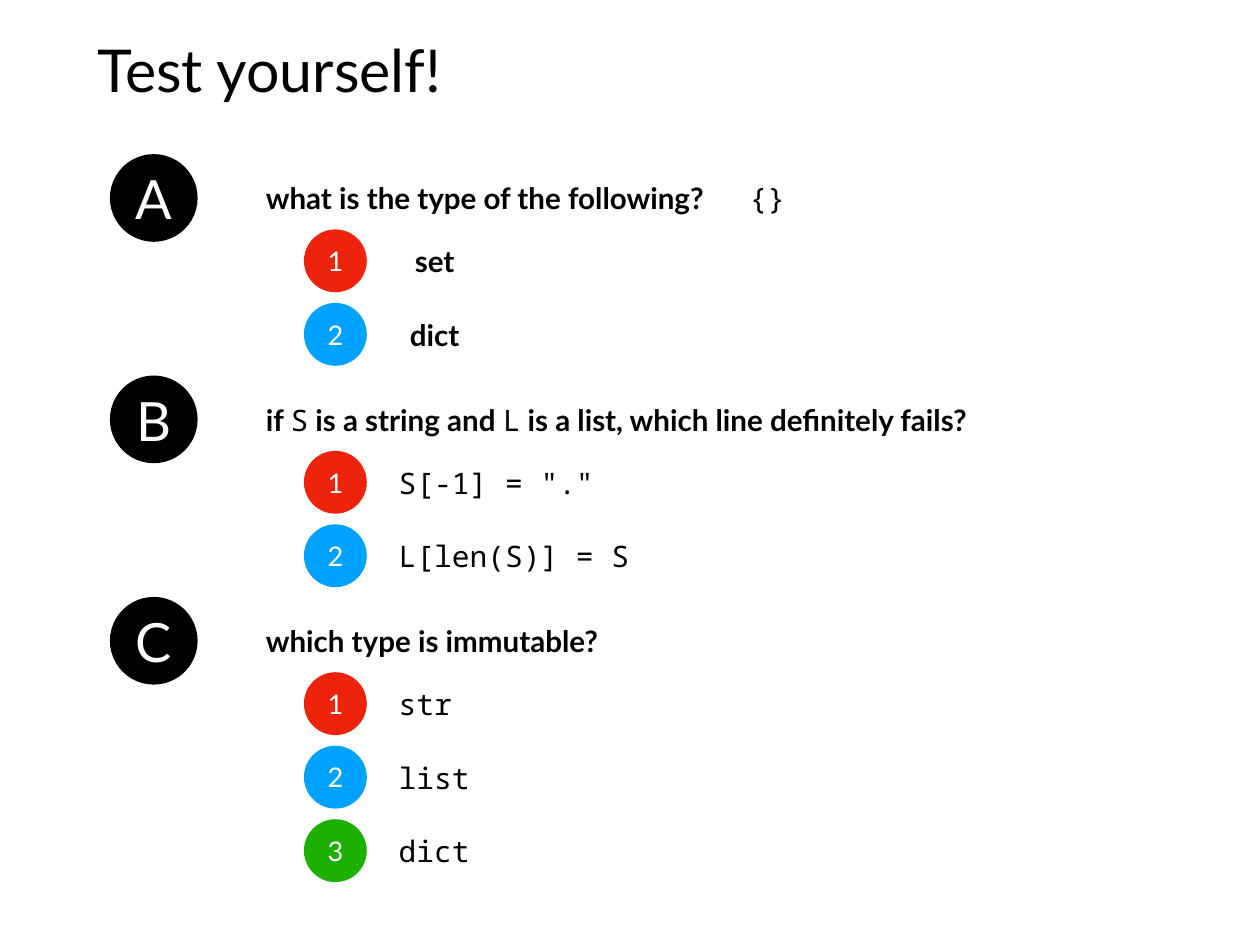
from lxml.etree import SubElement
from pptx import Presentation
from pptx.dml.color import RGBColor
from pptx.enum.shapes import MSO_SHAPE
from pptx.enum.text import MSO_ANCHOR, MSO_AUTO_SIZE, PP_ALIGN
from pptx.oxml.ns import qn
from pptx.util import Inches, Pt

BLACK = RGBColor(0x00, 0x00, 0x00)
WHITE = RGBColor(0xFF, 0xFF, 0xFF)
RED = RGBColor(0xEE, 0x23, 0x0C)
BLUE = RGBColor(0x00, 0xA2, 0xFF)
GREEN = RGBColor(0x1E, 0xB0, 0x01)
OPTION_COLOURS = (RED, BLUE, GREEN)

PROSE, CODE = "Lato", "Noto Sans Mono"
FIRST_TOP, QUESTION_STEP = 1.74, 2.5
OPTION_OFFSET, OPTION_STEP = 0.85, 0.83
CODE_TAB = 5.46

# Each question: letter, runs, box width, font of the answers, answers
QUESTIONS = [
    ("A", [("what is the type of the following?\t", PROSE), ("{}", CODE)],
     6.72, PROSE, ["set", "dict"]),
    ("B", [("if ", PROSE), ("S", CODE), (" is a string and ", PROSE), ("L", CODE),
           (" is a list, which line definitely fails?", PROSE)],
     9.18, CODE, ['S[-1] = "."', "L[len(S)] = S"]),
    ("C", [("which type is immutable?", PROSE)],
     4.39, CODE, ["str", "list", "dict"]),
]


class QuizSlide:
    """Holds the quiz style and the slide being filled."""

    def __init__(self, deck):
        """Add a slide that has only a title."""
        self.slide = deck.slides.add_slide(deck.slide_layouts[5])

    def fill_text(self, frame, runs, size, colour=BLACK, align=PP_ALIGN.LEFT, wrap=True):
        """Put (text, font, bold) runs into a text frame."""
        frame.margin_left = frame.margin_right = Inches(0.06)
        frame.margin_top = frame.margin_bottom = Inches(0.06)
        frame.vertical_anchor = MSO_ANCHOR.MIDDLE
        frame.auto_size = MSO_AUTO_SIZE.NONE
        frame.word_wrap = wrap
        paragraph = frame.paragraphs[0]
        paragraph.alignment = align
        for text, font, bold in runs:
            run = paragraph.add_run()
            run.text = text
            run.font.name = font
            run.font.size = Pt(size)
            run.font.bold = bold
            run.font.color.rgb = colour
        return paragraph

    def title(self, text):
        """Place and fill the title placeholder."""
        heading = self.slide.shapes.title
        heading.left, heading.top = Inches(1.04), Inches(0.28)
        heading.width, heading.height = Inches(12.14), Inches(0.99)
        self.fill_text(heading.text_frame, [(text, PROSE, False)], 48)

    def badge(self, label, left, top, diameter, fill, size):
        """Draw a filled circle with a white label."""
        circle = self.slide.shapes.add_shape(
            MSO_SHAPE.OVAL, Inches(left), Inches(top), Inches(diameter), Inches(diameter))
        circle.shadow.inherit = False
        circle.fill.solid()
        circle.fill.fore_color.rgb = fill
        circle.line.fill.background()
        self.fill_text(circle.text_frame, [(label, PROSE, False)], size, WHITE,
                       PP_ALIGN.CENTER, wrap=False)

    def line(self, runs, left, top, width, align=PP_ALIGN.LEFT, wrap=True):
        """Add one line of text, with prose bold and code regular."""
        box = self.slide.shapes.add_textbox(
            Inches(left), Inches(top), Inches(width), Inches(0.51))
        styled = [(text, font, font == PROSE) for text, font in runs]
        return self.fill_text(box.text_frame, styled, 24, align=align, wrap=wrap)

    def question(self, letter, runs, top, width):
        """Add a lettered question, with a tab stop for trailing code."""
        self.badge(letter, 1.24, top, 0.99, BLACK, 44)
        paragraph = self.line(runs, 2.94, top + 0.24, width)
        stops = SubElement(paragraph._p.get_or_add_pPr(), qn("a:tabLst"))
        SubElement(stops, qn("a:tab"), pos=str(Inches(CODE_TAB)), algn="l")

    def option(self, number, answer, font, top, fill):
        """Add a numbered answer; prose is centred, code starts at the left."""
        self.badge(str(number), 3.43, top, 0.71, fill, 22)
        if font == CODE:
            left, width, align = 4.44, 0.2 * len(answer) + 0.13, PP_ALIGN.LEFT
        else:
            left, width, align = 4.52, 0.77, PP_ALIGN.CENTER
        self.line([(answer, font)], left, top + 0.1, width, align, wrap=False)


def build():
    """Build the quiz slide and save it."""
    deck = Presentation()
    deck.slide_width, deck.slide_height = Inches(14.22), Inches(10.67)
    quiz = QuizSlide(deck)
    quiz.title("Test yourself!")
    for row, (letter, runs, width, font, answers) in enumerate(QUESTIONS):
        top = FIRST_TOP + row * QUESTION_STEP
        quiz.question(letter, runs, top, width)
        for index, (answer, fill) in enumerate(zip(answers, OPTION_COLOURS)):
            option_top = top + OPTION_OFFSET + index * OPTION_STEP
            quiz.option(index + 1, answer, font, option_top, fill)
    deck.save("out.pptx")


build()
